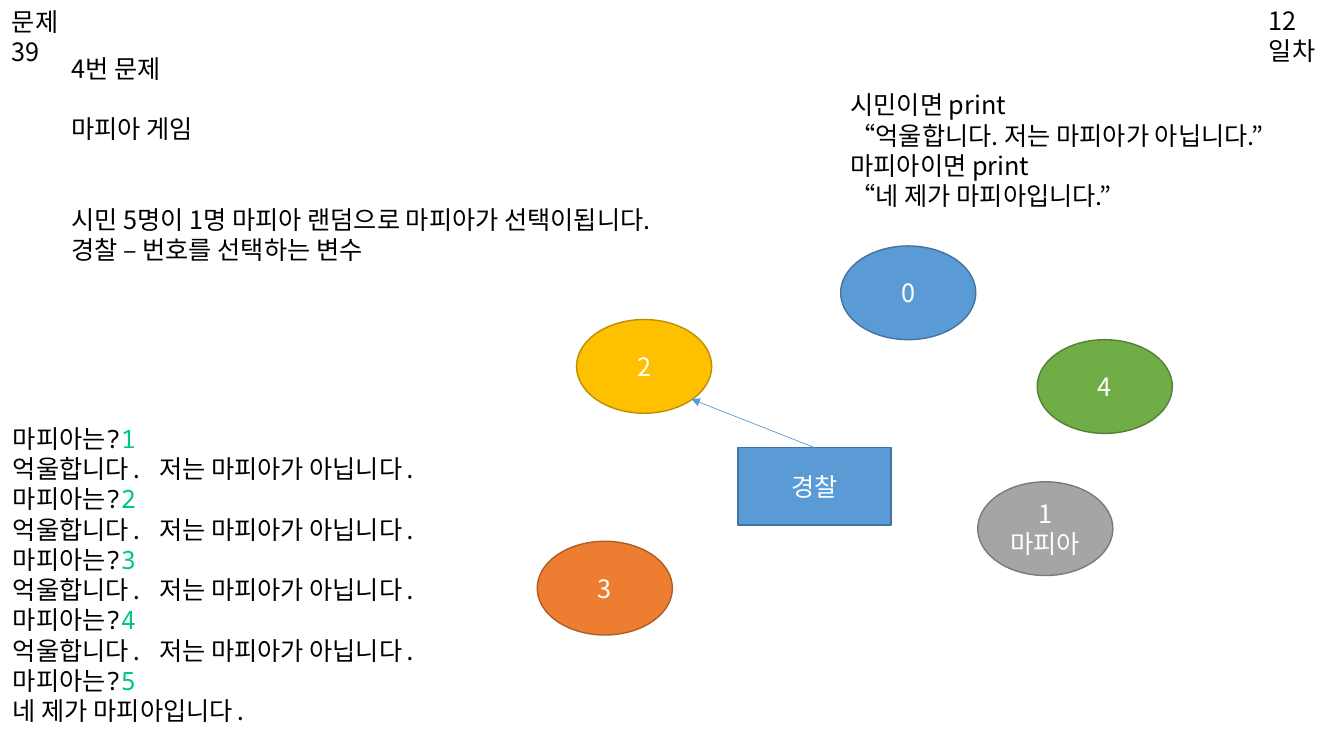
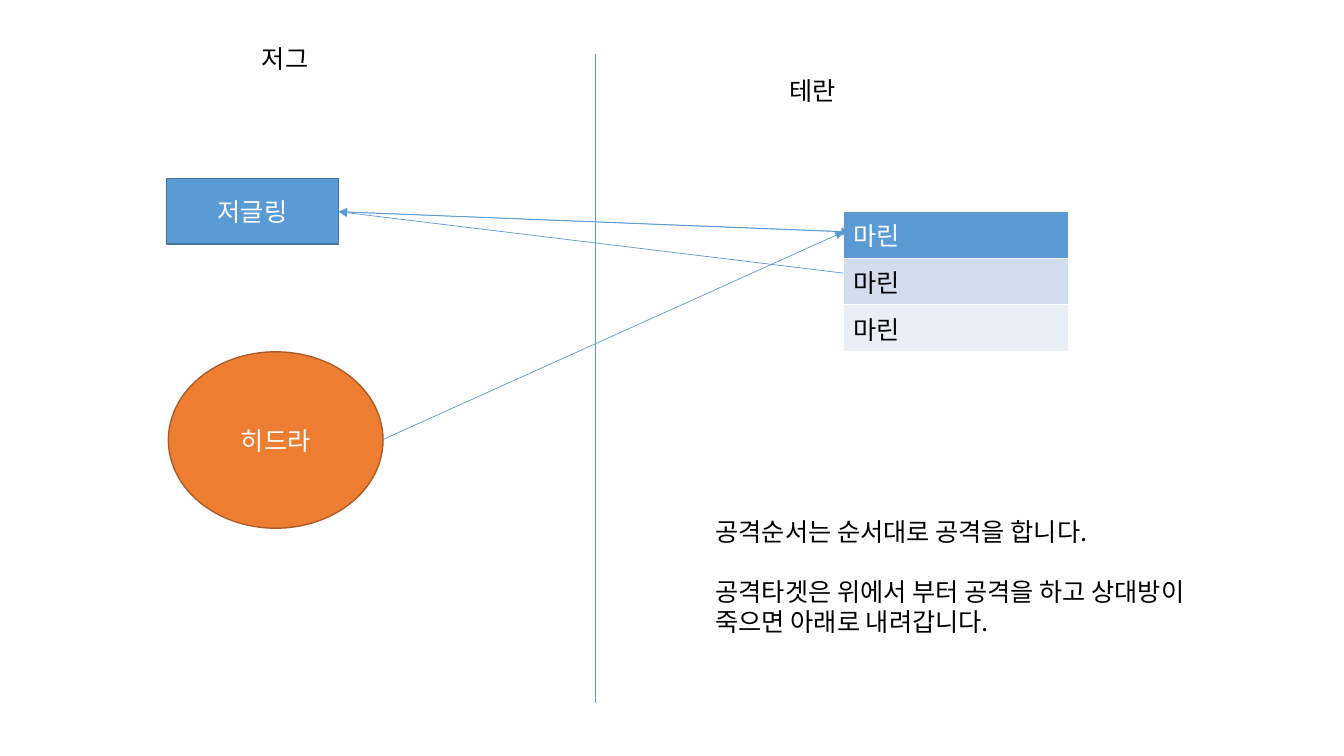
import pptx
import pptx.dml.color
import pptx.enum.shapes
import pptx.enum.text
import pptx.oxml
import pptx.oxml.ns
import pptx.util

# Shared look: a grid of 80 columns by 45 rows
deck = pptx.Presentation()
deck.slide_width = pptx.util.Inches(13.33)
deck.slide_height = pptx.util.Inches(7.5)
COL, ROW = deck.slide_width / 80, deck.slide_height / 45
SANS, MONO = "Noto Sans CJK KR", "Noto Sans Mono"
BLACK, WHITE, GREEN = "000000", "FFFFFF", "00C87D"
BLUE, ORANGE = ("5B9BD5", "43739E"), ("ED7D31", "AF5C24")
GOLD, GRAY, LEAF = ("FFC000", "BD8E00"), ("A5A5A5", "7A7A7A"), ("70AD47", "538035")
PITCH = 21.6
SHAPE = pptx.enum.shapes.MSO_SHAPE
ALIGN = pptx.enum.text.PP_ALIGN
rgb = pptx.dml.color.RGBColor.from_string


def grid(x, y, w, h):
    return [int(n) for n in (x * COL, y * ROW, w * COL, h * ROW)]


def write(frame, lines, color=BLACK, face=SANS, align=ALIGN.LEFT, gaps=()):
    """Fill a frame; text after a bar is green, gaps maps a line to rows left above."""
    frame.word_wrap = True
    for i, line in enumerate(lines):
        para = frame.paragraphs[0] if i == 0 else frame.add_paragraph()
        para.alignment = align
        if i in gaps:
            para.space_before = pptx.util.Pt(gaps[i] * PITCH)
        font = para.font
        font.size, font.bold, font.name = pptx.util.Pt(18), False, face
        font.color.rgb = rgb(color)
        asia = pptx.oxml.parse_xml(f'<a:ea {pptx.oxml.ns.nsdecls("a")} typeface="{SANS}"/>')
        para._p.pPr.find(pptx.oxml.ns.qn("a:defRPr")).append(asia)
        for j, part in enumerate(line.split("|")):
            run = para.add_run()
            run.text = part
            if j:
                run.font.color.rgb = rgb(GREEN)


game, war = [deck.slides.add_slide(deck.slide_layouts[6]) for _ in range(2)]

# Table of marines
team = war.shapes.add_table(3, 1, *grid(50.22, 12.6, 13.38, 7.38)).table
looks = [("5B9BD5", WHITE), ("D2DEEF", BLACK), ("EAEFF7", BLACK)]
for i, (fill, ink) in enumerate(looks):
    cell = team.cell(i, 0)
    cell.fill.solid()
    cell.fill.fore_color.rgb = rgb(fill)
    write(cell.text_frame, ["마린"], ink)

# Players and units
ROUND = (8.04, 5.58)
units = [
    (game, SHAPE.OVAL, (34.32, 19.02, *ROUND), GOLD, ["2"]),
    (game, SHAPE.OVAL, (50.04, 14.64, *ROUND), BLUE, ["0"]),
    (game, SHAPE.OVAL, (58.2, 28.68, *ROUND), GRAY, ["1", "마피아"]),
    (game, SHAPE.OVAL, (61.74, 20.22, *ROUND), LEAF, ["4"]),
    (game, SHAPE.OVAL, (31.98, 32.22, *ROUND), ORANGE, ["3"]),
    (game, SHAPE.RECTANGLE, (43.92, 26.64, 9.12, 4.62), BLUE, ["경찰"]),
    (war, SHAPE.RECTANGLE, (9.9, 10.62, 10.26, 3.9), BLUE, ["저글링"]),
    (war, SHAPE.OVAL, (10.02, 20.94, 12.78, 10.5), ORANGE, ["히드라"]),
]
for slide, kind, area, (fill, edge), lines in units:
    unit = slide.shapes.add_shape(kind, *grid(*area))
    unit.shadow.inherit = False
    unit.fill.solid()
    unit.fill.fore_color.rgb = rgb(fill)
    unit.line.color.rgb = rgb(edge)
    unit.line.width = pptx.util.Pt(1)
    unit.text_frame.vertical_anchor = pptx.enum.text.MSO_ANCHOR.MIDDLE
    write(unit.text_frame, lines, WHITE, align=ALIGN.CENTER)

# Divider and arrows
links = [
    (game, (48.48, 26.64, 41.16, 23.76), True),
    (war, (35.46, 3.24, 35.46, 41.82), False),
    (war, (50.22, 13.8, 20.16, 12.6), True),
    (war, (20.16, 12.6, 50.58, 13.8), True),
    (war, (50.22, 16.26, 20.16, 12.6), True),
    (war, (22.8, 26.16, 50.22, 13.8), True),
]
for slide, ends, arrow in links:
    link = slide.shapes.add_connector(pptx.enum.shapes.MSO_CONNECTOR.STRAIGHT, *grid(*ends))
    link.line.color.rgb = rgb(BLUE[0])
    link.line.width = pptx.util.Pt(0.5)
    space = pptx.oxml.ns.nsdecls("a")
    if arrow:
        head = pptx.oxml.parse_xml(f'<a:tailEnd {space} type="triangle"/>')
        link.line._get_or_add_ln().append(head)
    link._element.spPr.append(pptx.oxml.parse_xml(f"<a:effectLst {space}/>"))

# Text blocks
deny, admit = "억울합니다. 저는 마피아가 아닙니다.", "네 제가 마피아입니다."
log = []
for n in range(1, 6):
    log += [f"마피아는?|{n}", deny if n < 5 else admit]
intro = ["4번 문제", "마피아 게임",
         "시민 5명이 1명 마피아 랜덤으로 마피아가 선택이됩니다.",
         "경찰 – 번호를 선택하는 변수"]
rules = ["시민이면 print", f"“{deny}”", "마피아이면 print", f"“{admit}”"]
order = ["공격순서는 순서대로 공격을 합니다.",
         "공격타겟은 위에서 부터 공격을 하고 상대방이",
         "죽으면 아래로 내려갑니다."]
blocks = [
    (game, (3.66, 2.88, 39.78, 18.78), intro, SANS, {1: 1, 2: 2}),
    (game, (50.04, 5.04, 27.24, 7.86), rules, SANS, {}),
    (game, (0.18, 24.9, 40.02, 18.78), log, MONO, {}),
    (game, (74.94, 0, 4.2, 4.2), ["12일차"], SANS, {}),
    (game, (0.12, 0.06, 4.2, 4.2), ["문제39"], SANS, {}),
    (war, (46.38, 4.2, 4.26, 2.4), ["테란"], SANS, {}),
    (war, (15, 2.28, 4.26, 2.4), ["저그"], SANS, {}),
    (war, (42, 30.42, 32.7, 7.86), order, SANS, {1: 1}),
]
for slide, area, lines, face, gaps in blocks:
    write(slide.shapes.add_textbox(*grid(*area)).text_frame, lines, face=face, gaps=gaps)

deck.save("out.pptx")
